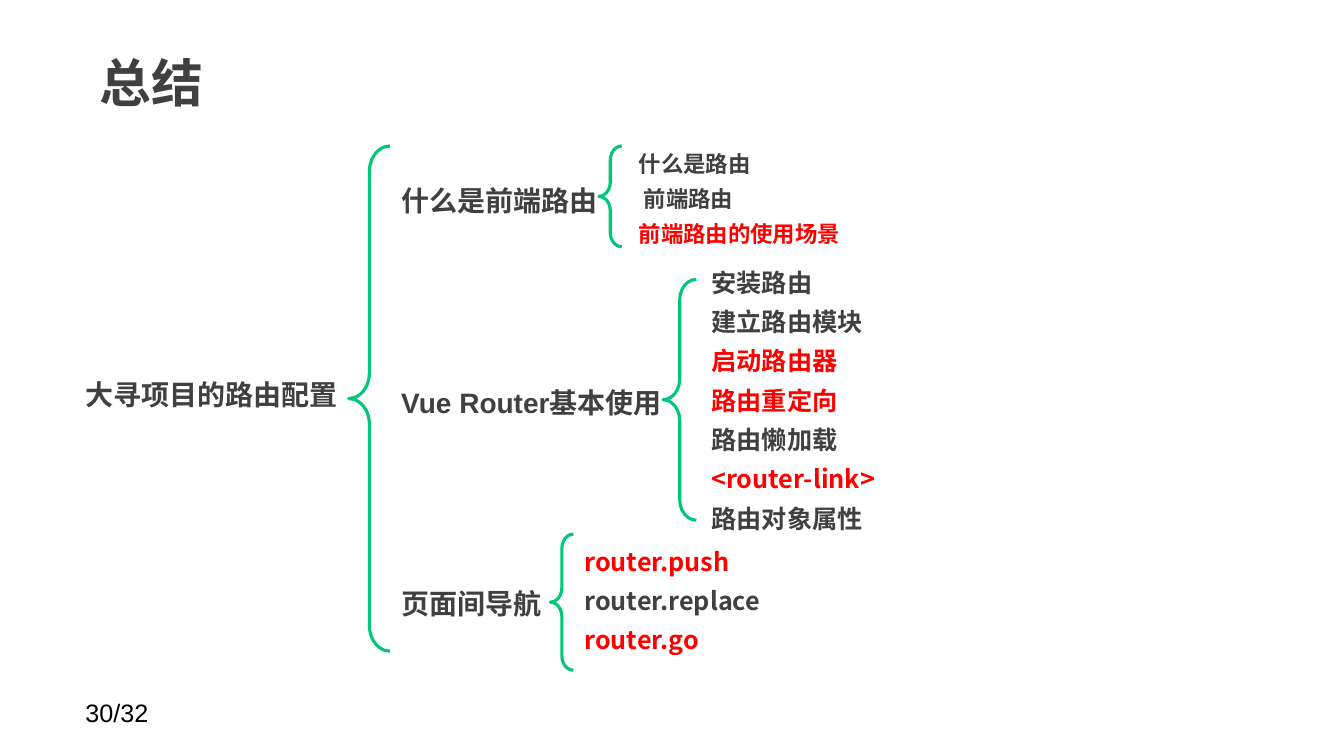
from lxml.etree import SubElement
from pptx import Presentation
from pptx.dml.color import RGBColor
from pptx.enum.shapes import MSO_SHAPE
from pptx.enum.text import MSO_ANCHOR, PP_ALIGN
from pptx.oxml.ns import qn
from pptx.util import Cm, Pt

COLORS = {"dark": "404040", "red": "FF0000", "black": "000000", "green": "00C77A"}
HAN = "Noto Sans CJK SC"

TITLE = "总结"
ROOT = "大寻项目的路由配置"
PAGE = "30/32"
TOPICS = ["什么是前端路由", "Vue Router基本使用", "页面间导航"]

# Each list: box (left, top, width, height in cm), size, font, (text, color) lines
LISTS = [
    ((15.85, 3.45, 13.18, 2.92), 16, "Arial", [
        ("什么是路由", "dark"),
        (" 前端路由", "dark"),
        ("前端路由的使用场景", "red"),
    ]),
    ((17.68, 6.38, 8.71, 7.24), 18, HAN, [
        ("安装路由", "dark"),
        ("建立路由模块", "dark"),
        ("启动路由器", "red"),
        ("路由重定向", "red"),
        ("路由懒加载", "dark"),
        ("<router-link>", "red"),
        ("路由对象属性", "dark"),
    ]),
    ((14.48, 13.41, 10.39, 3.25), 18, HAN, [
        ("router.push", "red"),
        ("router.replace", "dark"),
        ("router.go", "red"),
    ]),
]
BRACES = [
    (8.79, 3.68, 1.04, 12.73),
    (15.09, 3.68, 0.58, 2.54),
    (16.71, 7.04, 0.84, 6.07),
    (13.87, 13.46, 0.58, 3.43),
]
TOPIC_BOX = (9.86, 4.5, 7.6, 1.12)
TOPIC_STEP = 5.08


def assign(obj, values):
    for name, value in values.items():
        setattr(obj, name, value)


def write(frame, lines, size, face, bold=True, **para):
    """Fill a text frame with (text, color) lines, one paragraph each."""
    for i, (text, color) in enumerate(lines):
        p = frame.add_paragraph() if i else frame.paragraphs[0]
        assign(p, para)
        run = p.add_run()
        run.text = text
        assign(run.font, {"size": Pt(size), "name": face, "bold": bold})
        run.font.color.rgb = RGBColor.from_string(COLORS[color])
        SubElement(run.font._element, qn("a:ea")).set("typeface", HAN)


def add_text(slide, box, lines, size, face="Arial", **form):
    frame = slide.shapes.add_textbox(*map(Cm, box)).text_frame
    frame.word_wrap = True
    write(frame, lines, size, face, **form)


def add_brace(slide, box):
    brace = slide.shapes.add_shape(MSO_SHAPE.LEFT_BRACE, *map(Cm, box))
    brace.shadow.inherit = False
    brace.fill.background()
    brace.line.color.rgb = RGBColor.from_string(COLORS["green"])
    brace.line.width = Pt(2.25)
    brace.adjustments[0] = 0.62


def main():
    deck = Presentation()
    assign(deck, {"slide_width": Cm(33.87), "slide_height": Cm(19.05)})
    slide = deck.slides.add_slide(deck.slide_layouts[5])

    title = slide.shapes.title
    assign(title, {"left": Cm(2.18), "top": Cm(0.76),
                   "width": Cm(26.44), "height": Cm(2.62)})
    assign(title.text_frame, {
        "vertical_anchor": MSO_ANCHOR.MIDDLE, "word_wrap": True,
        "margin_left": Cm(0.33), "margin_right": Cm(0.33),
        "margin_top": Cm(0.15), "margin_bottom": Cm(0.15)})
    write(title.text_frame, [(TITLE, "dark")], 37, HAN, alignment=PP_ALIGN.LEFT)

    add_text(slide, (1.9, 17.45, 5.92, 1.02), [(PAGE, "black")], 18, bold=False)
    add_text(slide, (1.65, 9.4, 7.37, 1.12), [(ROOT, "dark")], 20,
             alignment=PP_ALIGN.CENTER)
    left, top, width, height = TOPIC_BOX
    for i, topic in enumerate(TOPICS):
        box = (left, top + i * TOPIC_STEP, width, height)
        add_text(slide, box, [(topic, "dark")], 20)
    for box, size, face, lines in LISTS:
        add_text(slide, box, lines, size, face, line_spacing=1.3)
    for box in BRACES:
        add_brace(slide, box)

    deck.save("out.pptx")


if __name__ == "__main__":
    main()
